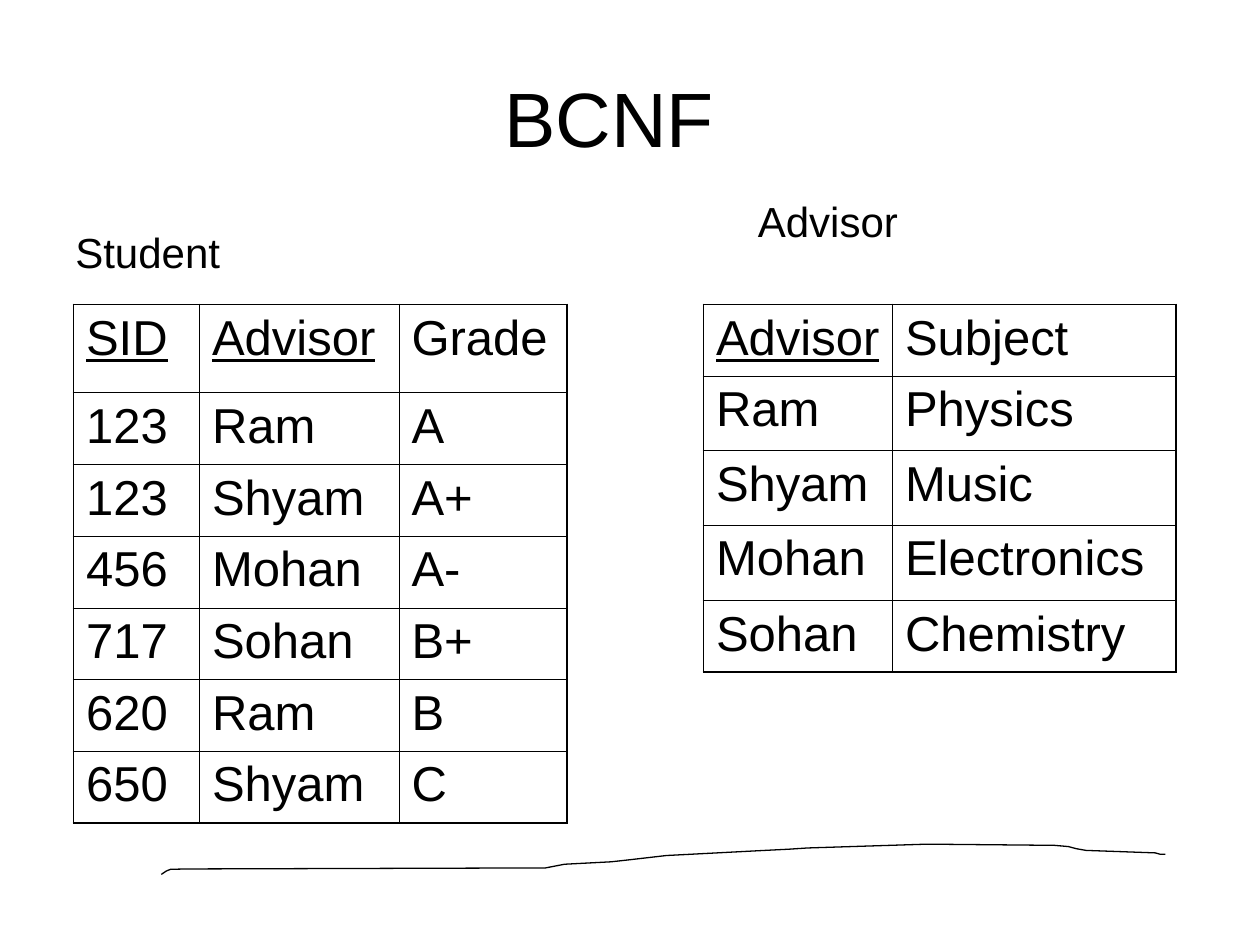
import pptx
import pptx.dml.color
import pptx.enum.text
import pptx.oxml
import pptx.oxml.ns
import pptx.util

Pt = pptx.util.Pt
FONT = "Arial"
BLACK = "000000"
OUTER_BORDER, INNER_BORDER = 1.08, 0.45
TABLE_TOP = 174

TABLES = [
    {
        "left": 42,
        "columns": [72, 114, 96],
        "row_heights": [50.4] + [41] * 6,
        "keys": ["SID", "Advisor"],
        "rows": [
            ("SID", "Advisor", "Grade"),
            ("123", "Ram", "A"),
            ("123", "Shyam", "A+"),
            ("456", "Mohan", "A-"),
            ("717", "Sohan", "B+"),
            ("620", "Ram", "B"),
            ("650", "Shyam", "C"),
        ],
    },
    {
        "left": 402,
        "columns": [108, 162],
        "row_heights": [41, 42.5, 42.5, 43.2, 41],
        "keys": ["Advisor"],
        "rows": [
            ("Advisor", "Subject"),
            ("Ram", "Physics"),
            ("Shyam", "Music"),
            ("Mohan", "Electronics"),
            ("Sohan", "Chemistry"),
        ],
    },
]

STROKE = [
    (92.2, 499.7), (95, 497.8), (97.5, 496.8), (107.3, 496.6), (311.8, 496),
    (322.6, 493.9), (349.2, 492.5), (359.3, 491.4), (380.9, 488.9),
    (394.6, 488.2), (437, 486), (450.7, 485.3), (461.5, 484.6),
    (529.9, 482.4), (602.6, 483.1), (610.6, 483.8), (615, 485),
    (620.6, 486), (660.2, 487.4), (663, 488.2), (666, 488.2),
]


def color(hex_text):
    return pptx.dml.color.RGBColor.from_string(hex_text)


def add_run(paragraph, text, size, underline=False):
    run = paragraph.add_run()
    run.text = text
    run.font.name = FONT
    run.font.size = Pt(size)
    run.font.underline = underline
    run.font.color.rgb = color(BLACK)


def add_text(slide, text, size, left, top, width, height):
    box = slide.shapes.add_textbox(Pt(left), Pt(top), Pt(width), Pt(height))
    box.text_frame.word_wrap = True
    add_run(box.text_frame.paragraphs[0], text, size)
    return box.text_frame


def set_borders(cell, widths):
    properties = cell._tc.get_or_add_tcPr()
    for index, (side, width) in enumerate(widths.items()):
        properties.insert(index, pptx.oxml.parse_xml(
            f'<a:ln{side} {pptx.oxml.ns.nsdecls("a")} w="{Pt(width)}">'
            f'<a:solidFill><a:srgbClr val="{BLACK}"/></a:solidFill></a:ln{side}>'))


def add_table(slide, content):
    rows, columns, heights = content["rows"], content["columns"], content["row_heights"]
    table = slide.shapes.add_table(
        len(rows), len(columns), Pt(content["left"]), Pt(TABLE_TOP),
        Pt(sum(columns)), Pt(sum(heights))).table
    table.first_row = table.horz_banding = False
    for column, width in zip(table.columns, columns):
        column.width = Pt(width)
    for row, height in zip(table.rows, heights):
        row.height = Pt(height)
    for i, texts in enumerate(rows):
        for j, text in enumerate(texts):
            cell = table.cell(i, j)
            cell.fill.background()
            is_key = i == 0 and text in content["keys"]
            add_run(cell.text_frame.paragraphs[0], text, 28, is_key)
            on_edge = {"L": j == 0, "R": j == len(columns) - 1,
                       "T": i == 0, "B": i == len(rows) - 1}
            set_borders(cell, {side: OUTER_BORDER if edge else INNER_BORDER
                               for side, edge in on_edge.items()})


def add_stroke(slide):
    points = [(Pt(x), Pt(y)) for x, y in STROKE]
    builder = slide.shapes.build_freeform(*points[0])
    builder.add_line_segments(points[1:], close=False)
    shape = builder.convert_to_shape()
    shape.shadow.inherit = False
    shape.fill.background()
    shape.line.color.rgb = color(BLACK)
    shape.line.width = Pt(0.75)


def main():
    presentation = pptx.Presentation()
    presentation.slide_width, presentation.slide_height = Pt(720), Pt(540)
    slide = presentation.slides.add_slide(presentation.slide_layouts[6])

    add_stroke(slide)
    title = add_text(slide, "BCNF", 44, 36, 21.6, 648, 90)
    title.vertical_anchor = pptx.enum.text.MSO_ANCHOR.MIDDLE
    title.margin_right = Pt(31)
    title.paragraphs[0].alignment = pptx.enum.text.PP_ALIGN.CENTER
    add_text(slide, "Student", 24, 36, 126, 648, 390)
    add_text(slide, "Advisor", 24, 426, 108, 150, 36)
    for content in TABLES:
        add_table(slide, content)
    presentation.save("out.pptx")


if __name__ == "__main__":
    main()
